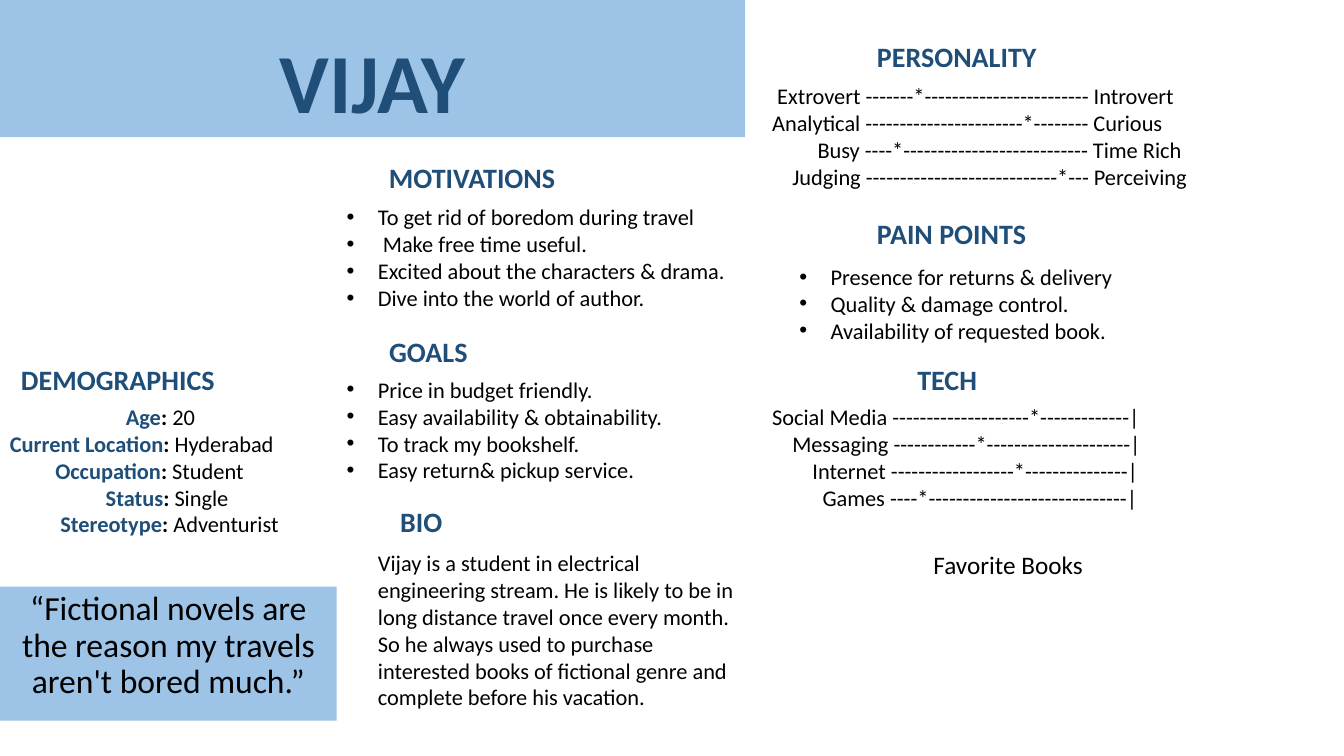
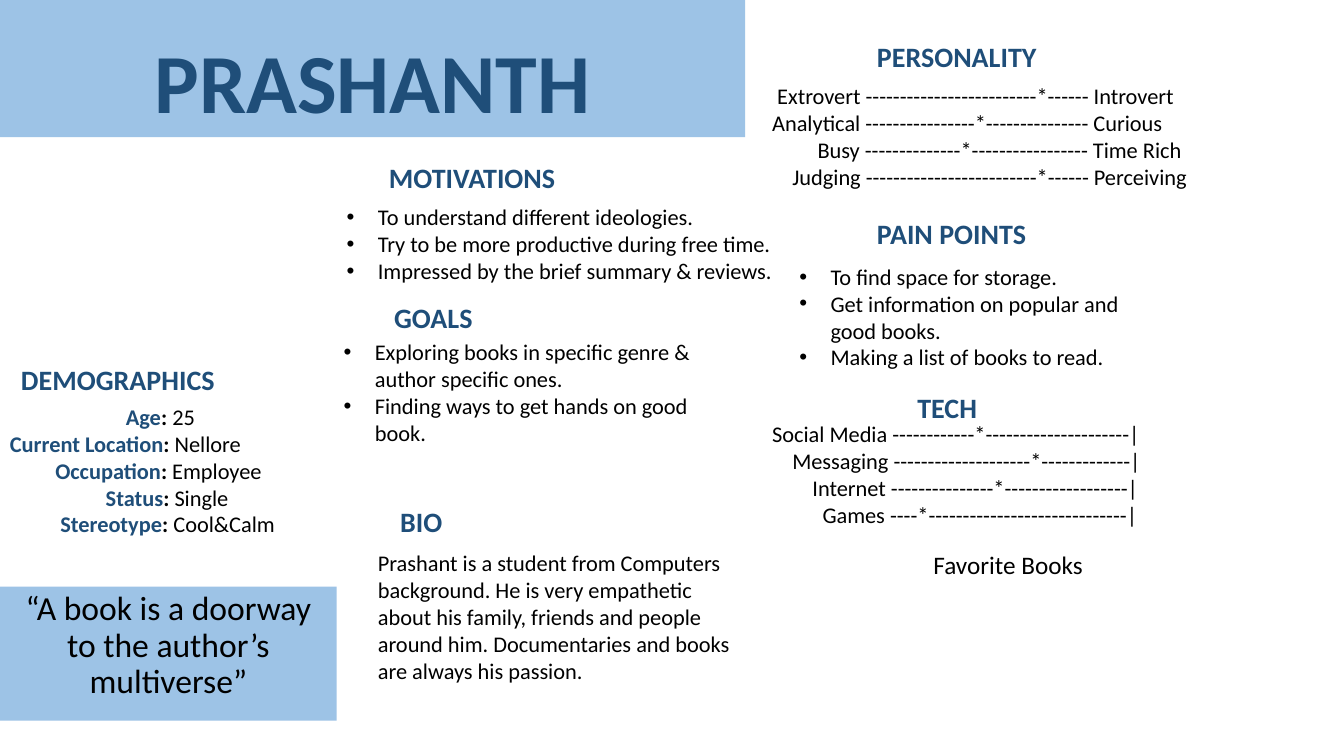
from pptx import Presentation
from pptx.dml.color import RGBColor
from pptx.enum.text import MSO_ANCHOR, MSO_AUTO_SIZE, PP_ALIGN
from pptx.oxml import parse_xml
from pptx.oxml.ns import nsdecls
from pptx.util import Inches, Pt

FONT, NAVY, SKY, BLACK = "Calibri", "1F4E79", "9DC3E6", "000000"
HEADING_SIZE, BODY_SIZE = 20, 16
LINE_HEIGHT = 0.27
BULLET_INDENT = 0.31


def rgb(value):
    """Turn a hex string into a colour."""
    return RGBColor.from_string(value)


def scale(mark, length):
    """Draw a dashed scale of the given length with a star after mark dashes."""
    return "-" * mark + "*" + "-" * (length - mark)


class PersonaDeck:
    """Holds the shared style, the presentation and the current slide."""

    def __init__(self):
        """Start an empty widescreen presentation."""
        self.prs = Presentation()
        self.prs.slide_width, self.prs.slide_height = Inches(13.33), Inches(7.5)
        self.s = None

    def new_slide(self):
        """Add a slide with a title and a subtitle placeholder."""
        self.s = self.prs.slides.add_slide(self.prs.slide_layouts[0])

    def style(self, r, size=BODY_SIZE, color=BLACK, bold=False):
        """Format one run."""
        r.font.name, r.font.size, r.font.bold = FONT, Pt(size), bold
        r.font.color.rgb = rgb(color)

    def indent(self, p, left, first=0):
        """Set the left margin and first-line indent of a paragraph."""
        pPr = p._p.get_or_add_pPr()
        pPr.set("marL", str(Inches(left)))
        pPr.set("indent", str(Inches(first)))
        return pPr

    def band(self, sp, text, top, width, height, anchor, space_before=0, **font):
        """Place a placeholder as a filled band at the left edge."""
        sp.left, sp.top = Inches(0), Inches(top)
        sp.width, sp.height = Inches(width), Inches(height)
        sp.fill.solid()
        sp.fill.fore_color.rgb = rgb(SKY)
        tf = sp.text_frame
        tf.text = text
        tf.word_wrap, tf.auto_size = True, MSO_AUTO_SIZE.NONE
        tf.vertical_anchor = anchor
        p = tf.paragraphs[0]
        p.alignment, p.line_spacing = PP_ALIGN.CENTER, 0.9
        p.space_before = Pt(space_before)
        self.style(p.runs[0], **font)

    def title(self, text):
        """Write the persona name in the top band."""
        self.band(self.s.shapes.title, text, -0.04, 7.39, 1.4,
                  MSO_ANCHOR.BOTTOM, size=60, color=NAVY, bold=True)

    def quote(self, text):
        """Write the quote in the lower band."""
        self.band(self.s.placeholders[1], text, 5.82, 3.34, 1.33,
                  MSO_ANCHOR.TOP, space_before=10, size=24)

    def text(self, lines, left, top, width, height=None, **font):
        """Add a text box with one paragraph per line; return its paragraphs."""
        height = height or 0.1 + LINE_HEIGHT * len(lines)
        box = self.s.shapes.add_textbox(
            Inches(left), Inches(top), Inches(width), Inches(height))
        tf = box.text_frame
        tf.word_wrap = True
        tf.text = "\n".join(lines)
        for p in tf.paragraphs:
            for r in p.runs:
                self.style(r, **font)
        return tf.paragraphs

    def heading(self, text, left, top, width):
        """Add a section heading."""
        self.text([text], left, top, width, 0.44,
                  size=HEADING_SIZE, color=NAVY, bold=True)

    def bullets(self, lines, left, top, width, height=None):
        """Add a bulleted list."""
        for p in self.text(lines, left, top, width, height):
            pPr = self.indent(p, BULLET_INDENT, -BULLET_INDENT)
            pPr.append(parse_xml(f'<a:buFont {nsdecls("a")} typeface="Arial"/>'))
            pPr.append(parse_xml(f'<a:buChar {nsdecls("a")} char="•"/>'))

    def indented(self, lines, indents, left, top, width):
        """Add lines that each have their own left indent."""
        for p, amount in zip(self.text(lines, left, top, width), indents):
            self.indent(p, amount)

    def facts(self, pairs, indents, left, top, width):
        """Add label and value lines with bold labels."""
        paragraphs = self.text([label for label, _ in pairs], left, top, width,
                               color=NAVY, bold=True)
        for p, (_, value), amount in zip(paragraphs, pairs, indents):
            self.indent(p, amount)
            for part, bold in ((": ", True), (value, False)):
                r = p.add_run()
                r.text = part
                self.style(r, bold=bold)


FACT_LABELS = ["Age", "Current Location", "Occupation", "Status", "Stereotype"]
FACT_INDENTS = [1.15, 0, 0.45, 0.95, 0.5]
TRAITS = [("Extrovert", "Introvert"), ("Analytical", "Curious"),
          ("Busy", "Time Rich"), ("Judging", "Perceiving")]
TRAIT_INDENTS = [0.05, 0, 0.45, 0.2]
TECH = ["Social Media", "Messaging", "Internet", "Games"]
TECH_INDENTS = [0, 0.2, 0.4, 0.5]

PERSONAS = [
    {
        "name": "VIJAY",
        "quote": "“Fictional novels are the reason my travels aren't bored much.”",
        "facts": ["20", "Hyderabad", "Student", "Single", "Adventurist"],
        "motivations": ["To get rid of boredom during travel",
                        " Make free time useful.",
                        "Excited about the characters & drama.",
                        "Dive into the world of author."],
        "goals": ["Price in budget friendly.",
                  "Easy availability & obtainability.",
                  "To track my bookshelf.",
                  "Easy return& pickup service."],
        "goals_heading_at": (3.76, 3.27),
        "goals_box": (3.34, 3.68, 3.8, 1.72),
        "bio": "Vijay is a student in electrical engineering stream. He is "
               "likely to be in long distance travel once every month. So he "
               "always used to purchase interested books of fictional genre "
               "and complete before his vacation.",
        "bio_height": 1.72,
        "traits": [7, 23, 4, 28],
        "pains": ["Presence for returns & delivery",
                  "Quality & damage control.",
                  "Availability of requested book."],
        "pains_height": 1.18,
        "tech": [20, 12, 18, 4],
        "tech_tops": (3.55, 3.95),
    },
    {
        "name": "PRASHANTH",
        "quote": "“A book is a doorway to the author’s multiverse”",
        "facts": ["25", "Nellore", "Employee", "Single", "Cool&Calm"],
        "motivations": ["To understand different ideologies.",
                        "Try to be more productive during free time.",
                        "Impressed by the brief summary & reviews."],
        "goals": ["Exploring books in specific genre & author specific ones.",
                  "Finding ways to get hands on good book."],
        "goals_heading_at": (3.81, 2.93),
        "goals_box": (3.31, 3.31, 3.8, 1.99),
        "bio": "Prashant is a student from Computers background. He is very "
               "empathetic about his family, friends and people around him. "
               "Documentaries and books are always his passion.",
        "bio_height": 1.45,
        "traits": [25, 16, 14, 25],
        "pains": ["To find space for storage.",
                  "Get information on popular and good books.",
                  "Making a list of books to read."],
        "pains_height": 1.45,
        "tech": [12, 20, 15, 4],
        "tech_tops": (3.82, 4.12),
    },
]


def build_persona(deck, persona):
    """Build one persona slide."""
    deck.new_slide()
    deck.title(persona["name"])
    deck.quote(persona["quote"])

    deck.facts(list(zip(FACT_LABELS, persona["facts"])), FACT_INDENTS, 0, 3.95, 3.65)
    deck.heading("DEMOGRAPHICS", 0.11, 3.55, 3.23)

    deck.heading("MOTIVATIONS", 3.76, 1.54, 2.83)
    deck.bullets(persona["motivations"], 3.34, 1.97, 4.76)
    deck.heading("GOALS", *persona["goals_heading_at"], 2.71)
    deck.bullets(persona["goals"], *persona["goals_box"])
    deck.heading("BIO", 3.87, 4.96, 2.48)
    deck.text([persona["bio"]], 3.65, 5.4, 3.74, persona["bio_height"])

    deck.heading("PERSONALITY", 8.6, 0.34, 2.83)
    traits = [f"{low} {scale(mark, 31)} {high}"
              for (low, high), mark in zip(TRAITS, persona["traits"])]
    deck.indented(traits, TRAIT_INDENTS, 7.56, 0.77, 4.91)
    deck.heading("PAIN POINTS", 8.6, 2.1, 1.84)
    deck.bullets(persona["pains"], 7.83, 2.56, 3.44, persona["pains_height"])

    heading_top, scales_top = persona["tech_tops"]
    deck.heading("TECH", 9, heading_top, 2.03)
    tech = [f"{label} {scale(mark, 33)}|" for label, mark in zip(TECH, persona["tech"])]
    deck.indented(tech, TECH_INDENTS, 7.56, scales_top, 4.6)
    deck.text(["Favorite Books"], 9.16, 5.4, 2.27, 0.4, size=18)


deck = PersonaDeck()
for persona in PERSONAS:
    build_persona(deck, persona)
deck.prs.save("out.pptx")
